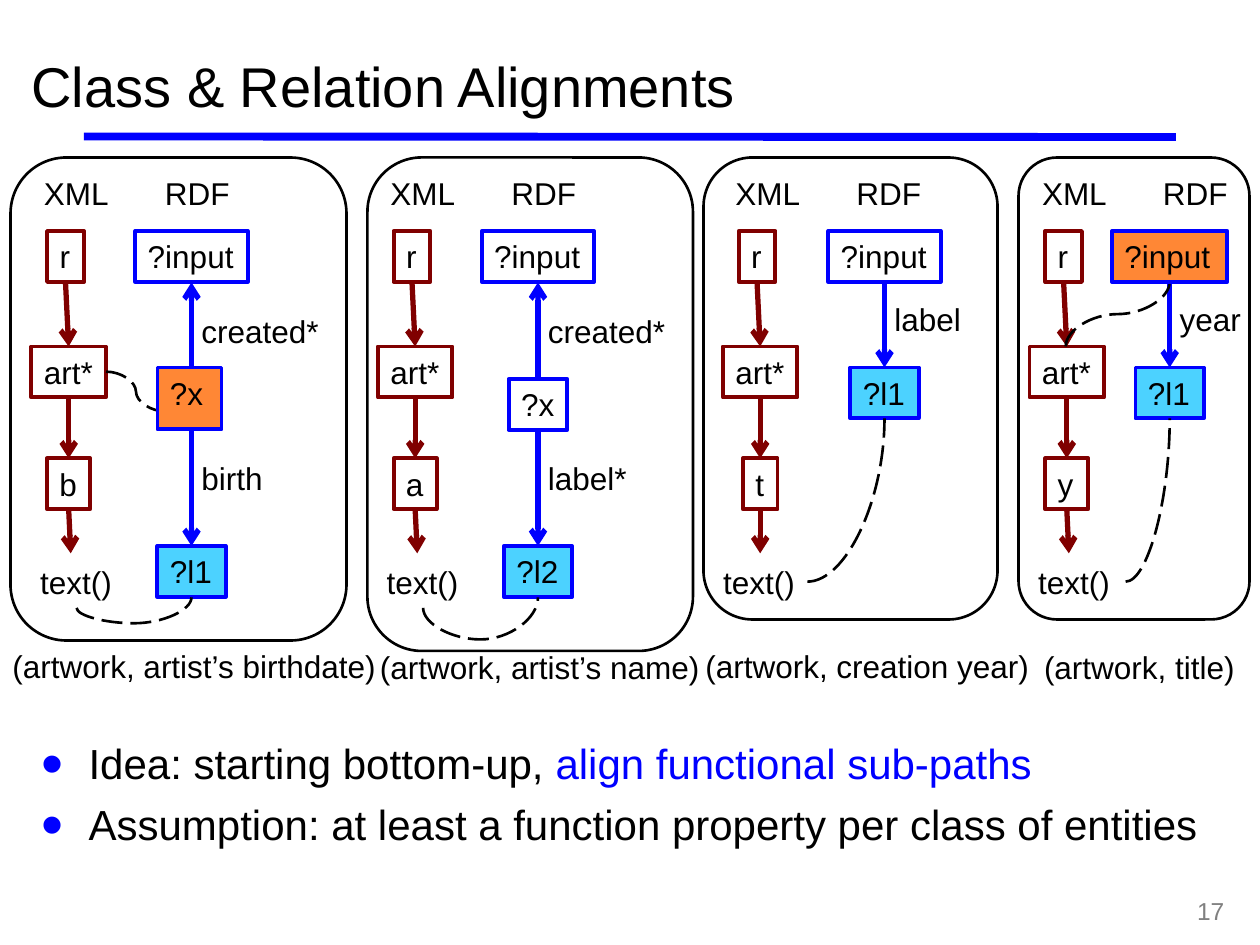
import pptx
import pptx.util
import pptx.dml.color
import pptx.enum.dml
import pptx.enum.shapes
import pptx.enum.text
import pptx.oxml
import pptx.oxml.ns

COLORS = {
    "black": "000000", "blue": "0000FF", "maroon": "800000",
    "cyan": "4CD2FF", "orange": "FF8735", "gray": "808080",
}
COLUMNS, ROWS = 120, 90
U = pptx.util.Inches(10) / COLUMNS
NODE_H = 4.85
HEADER_W = 9.2
R_ROW, ART_ROW, LEAF_ROW, TEXT_ROW = 22, 33, 43.65, 53
MSO = pptx.enum.shapes.MSO_SHAPE
LINK = pptx.enum.shapes.MSO_CONNECTOR
INPUT = ("?input", R_ROW, 10.7, None)

PANELS = [
    {"frame": (1, 32, 46), "xml": 6.54, "rdf": 18.24, "leaf": ("b", 4.1), "shift": 0.8,
     "nodes": [INPUT, ("?l1", 52, 6.5, "cyan")],
     "links": [(35, 26.9), (40.9, 52)],
     "labels": [("created*", 29.15, 13.8), ("birth", 43.15, 8.5)],
     "caption": ("(artwork, artist’s birthdate)", 0, 61, 37.5)},
    {"frame": (35, 31, 47), "xml": 39.54, "rdf": 51.24, "leaf": ("a", 4.1), "shift": 0.8,
     "nodes": [INPUT, ("?x", 36.1, 5.6, None), ("?l2", 52, 6.5, "cyan")],
     "links": [(36.1, 26.9), (41, 52)],
     "labels": [("created*", 29.15, 13.8), ("label*", 43.15, 10.2)],
     "caption": ("(artwork, artist’s name)", 35, 61.1, 33.3)},
    {"frame": (67, 28, 44), "xml": 72.4, "rdf": 84.24, "leaf": ("t", 3.3), "shift": 0,
     "nodes": [INPUT, ("?l1", 35, 6.5, "cyan")],
     "links": [(26.9, 35)],
     "labels": [("label", 28, 9)],
     "caption": ("(artwork, creation year)", 66, 61, 33.8)},
    {"frame": (97, 22, 44), "xml": 101.6, "rdf": 111.4, "leaf": ("y", 4.1), "shift": 0.8,
     "nodes": [("?l1", 35, 6.5, "cyan")],
     "links": [(26.9, 35)],
     "labels": [("year", 28, 8.6)],
     "caption": ("(artwork, title)", 98.25, 61.1, 21)},
]

CURVES = [
    ((40.3, 57.9), (51.24, 56.9), "curvedConnector3", -300000, True),
    ((7.3, 57.9), (18.24, 56.9), "curvedConnector3", -146500, True),
    ((76.9, 55.4), (84.24, 39.85), "curvedConnector2", None, False),
    ((107.2, 55.4), (111.4, 39.85), "curvedConnector2", None, False),
    ((10.1, 35.4), (15.8, 39.2), "curvedConnector3", 50000, False),
    ((101.5, 33), (111.4, 26.85), "curvedConnector3", 50000, True),
]


def units(*values):
    return [round(v * U) for v in values]


def rgb(name):
    return pptx.dml.color.RGBColor.from_string(COLORS[name])


def format_run(r, size, color="black"):
    r.font.name = "Arial"
    r.font.size = pptx.util.Pt(size)
    r.font.color.rgb = rgb(color)


def fill_text(sp, text, size=18, color="black"):
    tf = sp.text_frame
    tf.text = text
    tf.word_wrap = False
    tf.vertical_anchor = pptx.enum.text.MSO_ANCHOR.TOP
    p = tf.paragraphs[0]
    p.alignment = pptx.enum.text.PP_ALIGN.LEFT
    format_run(p.runs[0], size, color)
    return p


def label(s, text, x, y, w, h=NODE_H, size=18, color="black"):
    return fill_text(s.shapes.add_textbox(*units(x, y, w, h)), text, size, color)


def outline(s, kind, box, line, width, fill=None):
    sp = s.shapes.add_shape(kind, *units(*box))
    sp.shadow.inherit = False
    sp.line.color.rgb = rgb(line)
    sp.line.width = pptx.util.Pt(width)
    if fill:
        sp.fill.solid()
        sp.fill.fore_color.rgb = rgb(fill)
    else:
        sp.fill.background()
    return sp


def node(s, text, center, y, w, line, fill=None, h=NODE_H):
    sp = outline(s, MSO.RECTANGLE, (center - w / 2, y, w, h), line, 2.25, fill)
    fill_text(sp, text)


def connector(s, start, end, color, width, kind=LINK.STRAIGHT, arrow=False):
    c = s.shapes.add_connector(kind, *units(*start, *end))
    c.line.color.rgb = rgb(color)
    c.line.width = pptx.util.Pt(width)
    ns = pptx.oxml.ns.nsdecls("a")
    if arrow:
        c.line._get_or_add_ln().append(pptx.oxml.parse_xml(f'<a:tailEnd {ns} type="arrow"/>'))
    c._element.spPr.append(pptx.oxml.parse_xml(f"<a:effectLst {ns}/>"))
    return c


def curve(s, start, end, preset, adjust, turned):
    if turned:
        mx, my = (start[0] + end[0]) / 2, (start[1] + end[1]) / 2
        half_w, half_h = abs(start[1] - end[1]) / 2, abs(start[0] - end[0]) / 2
        start, end = (mx + half_w, my + half_h), (mx - half_w, my - half_h)
    c = connector(s, start, end, "black", 1.5, LINK.CURVE)
    c.line.dash_style = pptx.enum.dml.MSO_LINE.LONG_DASH
    qn = pptx.oxml.ns.qn
    if turned:
        c._element.spPr.find(qn("a:xfrm")).set("rot", "5400000")
    geom = c._element.spPr.find(qn("a:prstGeom"))
    geom.set("prst", preset)
    if adjust is not None:
        guides = geom.find(qn("a:avLst"))
        if guides is None:
            guides = pptx.oxml.parse_xml(f'<a:avLst {pptx.oxml.ns.nsdecls("a")}/>')
            geom.append(guides)
        guides.append(pptx.oxml.parse_xml(
            f'<a:gd {pptx.oxml.ns.nsdecls("a")} name="adj1" fmla="val {adjust}"/>'))


def panel(s, d):
    x, w, h = d["frame"]
    outline(s, MSO.ROUNDED_RECTANGLE, (x, 15, w, h), "black", 1.5)
    ax, cx = d["xml"], d["rdf"]
    label(s, "XML", ax - 3.54, 16, HEADER_W)
    label(s, "RDF", ax + 7.98, 16, HEADER_W)
    leaf, leaf_w = d["leaf"]
    chain = [("r", ax - 0.3, R_ROW, 3.5), ("art*", ax, ART_ROW, 7.1), (leaf, ax, LEAF_ROW, leaf_w)]
    stops = [(center, y) for _, center, y, _ in chain] + [(ax + d["shift"] / 4, 52.7)]
    for (x1, y1), stop in zip(stops, stops[1:]):
        connector(s, (x1, y1 + NODE_H), stop, "maroon", 3, arrow=True)
    for text, center, y, width in chain:
        node(s, text, center, y, width, "maroon")
    label(s, "text()", ax + d["shift"] - 4.7, TEXT_ROW, 9.6)
    for y1, y2 in d["links"]:
        connector(s, (cx, y1), (cx, y2), "blue", 3, arrow=True)
    for text, y, width, fill in d["nodes"]:
        node(s, text, cx, y, width, "blue", fill)
    for text, y, width in d["labels"]:
        label(s, text, cx - 0.24, y, width)
    label(s, *d["caption"])


def title(s, text):
    sp = s.shapes.title
    sp.left, sp.top, sp.width, sp.height = units(3, 1, 115.3, 14.9)
    p = fill_text(sp, text, 32)
    p.line_spacing = 0.93
    tf = sp.text_frame
    tf.word_wrap = True
    tf.vertical_anchor = pptx.enum.text.MSO_ANCHOR.MIDDLE
    tf.margin_left = tf.margin_right = tf.margin_top = tf.margin_bottom = 0


def bullets(s, items):
    tf = s.shapes.add_textbox(*units(4, 70.7, 115.5, 18)).text_frame
    tf.word_wrap = True
    tf.margin_left = tf.margin_right = tf.margin_top = tf.margin_bottom = 0
    ns = pptx.oxml.ns.nsdecls("a")
    indent = pptx.util.Inches(0.37)
    for i, runs in enumerate(items):
        p = tf.add_paragraph() if i else tf.paragraphs[0]
        pPr = p._p.get_or_add_pPr()
        pPr.set("marL", str(indent))
        pPr.set("indent", str(-indent))
        for xml in (f'<a:buClr {ns}><a:srgbClr val="{COLORS["blue"]}"/></a:buClr>',
                    f'<a:buSzPct {ns} val="150000"/>',
                    f'<a:buFont {ns} typeface="Arial"/>',
                    f'<a:buChar {ns} char="•"/>'):
            pPr.append(pptx.oxml.parse_xml(xml))
        p.line_spacing = 0.93
        if i:
            p.space_before = pptx.util.Pt(8)
        for text, color in runs:
            r = p.add_run()
            r.text = text
            format_run(r, 24, color)


def main():
    prs = pptx.Presentation()
    prs.slide_width, prs.slide_height = units(COLUMNS, ROWS)
    s = prs.slides.add_slide(prs.slide_layouts[5])
    connector(s, (8, 13), (112, 13.05), "blue", 4.5)
    title(s, "Class & Relation Alignments")
    for d in PANELS:
        panel(s, d)
    for c in CURVES:
        curve(s, *c)
    node(s, "?x", 18.05, 35, 6.1, "blue", "orange", 5.9)
    node(s, "?input", PANELS[3]["rdf"], R_ROW, 11, "blue", "orange")
    bullets(s, [
        [("Idea: starting bottom-up, ", "black"), ("align functional sub-paths", "blue")],
        [("Assumption: at least a function property per class of entities", "black")],
    ])
    number = label(s, "17", 108.2, 84.7, 9.6, 4, 14, "gray")
    number.alignment = pptx.enum.text.PP_ALIGN.RIGHT
    prs.save("out.pptx")


if __name__ == "__main__":
    main()
